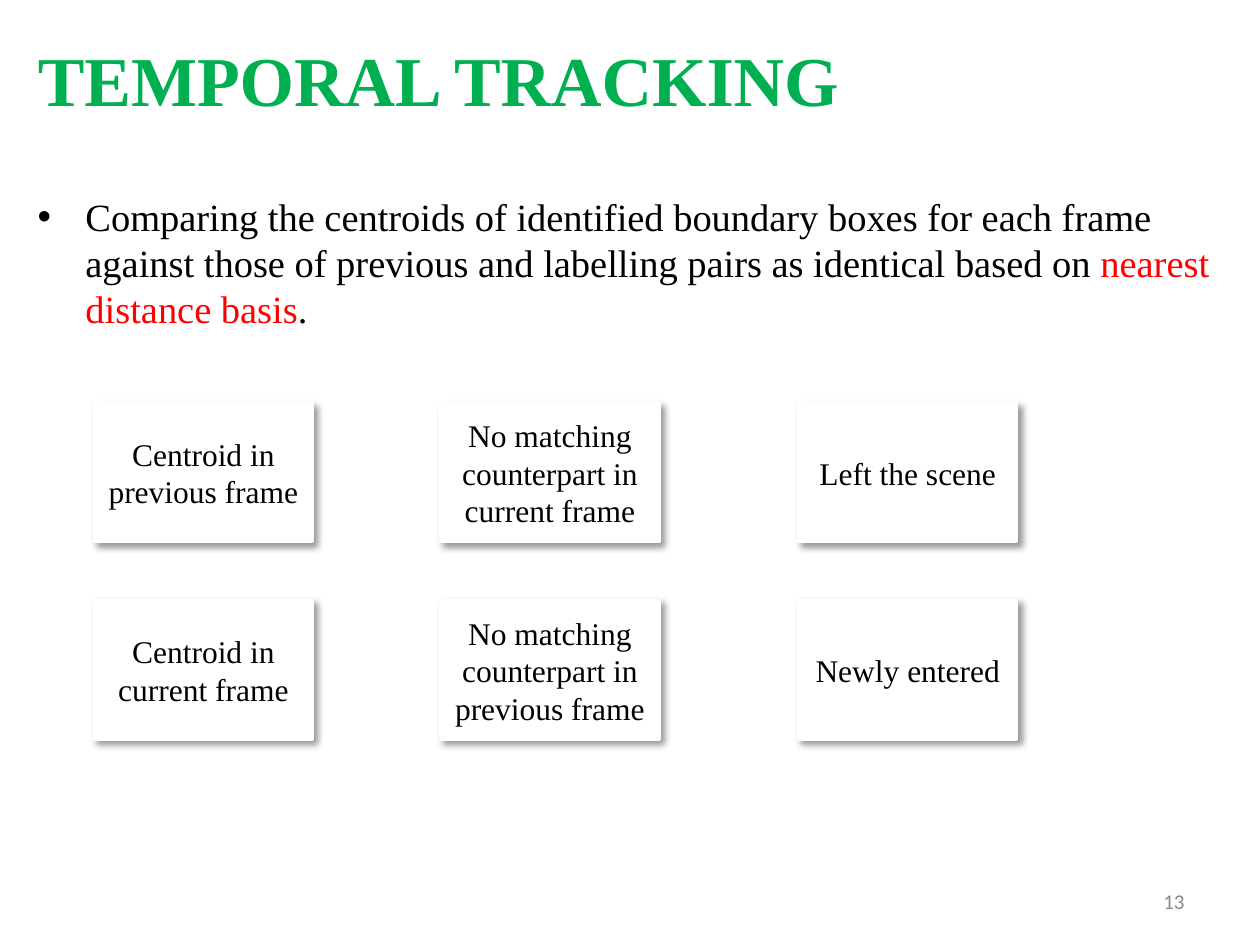
from dataclasses import dataclass

import pptx
import pptx.dml.color
import pptx.enum.shapes
import pptx.enum.text
import pptx.oxml
import pptx.oxml.ns
import pptx.util

Inches = pptx.util.Inches
Pt = pptx.util.Pt
RGBColor = pptx.dml.color.RGBColor
Align = pptx.enum.text.PP_ALIGN
Anchor = pptx.enum.text.MSO_ANCHOR

GREEN = RGBColor(0x00, 0xB0, 0x50)
RED = RGBColor(0xFF, 0x00, 0x00)
BLACK = RGBColor(0x00, 0x00, 0x00)
WHITE = RGBColor(0xFF, 0xFF, 0xFF)
GREY = RGBColor(0x89, 0x89, 0x89)
SERIF = "Times New Roman"
A_NS = pptx.oxml.ns.nsdecls("a")
SHADOW = (
    f'<a:effectLst {A_NS}><a:outerShdw blurRad="50800" dist="38100" dir="2700000" '
    'algn="tl" rotWithShape="0"><a:srgbClr val="000000"><a:alpha val="40000"/>'
    "</a:srgbClr></a:outerShdw></a:effectLst>"
)


@dataclass
class Box:
    left: float
    top: float
    width: float
    height: float

    def lengths(self) -> list:
        return [Inches(v) for v in (self.left, self.top, self.width, self.height)]


def add_run(p, text: str, *, size: float, color: RGBColor = BLACK,
            font: str = SERIF, bold: bool = False) -> None:
    r = p.add_run()
    r.text = text
    r.font.size = Pt(size)
    r.font.name = font
    r.font.bold = bold
    r.font.color.rgb = color


def set_frame(tf, anchor, align):
    """Wrap and align a text frame, returning its first paragraph."""
    tf.word_wrap = True
    tf.auto_size = pptx.enum.text.MSO_AUTO_SIZE.NONE
    tf.vertical_anchor = anchor
    p = tf.paragraphs[0]
    p.alignment = align
    return p


def add_text_box(slide, box: Box, anchor, align):
    return set_frame(slide.shapes.add_textbox(*box.lengths()).text_frame, anchor, align)


def set_bullet(p, indent: float) -> None:
    pPr = p._p.get_or_add_pPr()
    pPr.set("marL", str(Inches(indent)))
    pPr.set("indent", str(-Inches(indent)))
    pPr.append(pptx.oxml.parse_xml(f'<a:buFont {A_NS} typeface="Arial"/>'))
    pPr.append(pptx.oxml.parse_xml(f'<a:buChar {A_NS} char="•"/>'))


def add_card(slide, box: Box, text: str) -> None:
    sp = slide.shapes.add_shape(pptx.enum.shapes.MSO_SHAPE.RECTANGLE, *box.lengths())
    sp.fill.solid()
    sp.fill.fore_color.rgb = WHITE
    sp.line.color.rgb = WHITE
    sp.line.width = Pt(2)
    sp._element.spPr.append(pptx.oxml.parse_xml(SHADOW))
    add_run(set_frame(sp.text_frame, Anchor.MIDDLE, Align.CENTER), text, size=18)


def main() -> None:
    prs = pptx.Presentation()
    prs.slide_width, prs.slide_height = Inches(10), Inches(7.5)
    slide = prs.slides.add_slide(prs.slide_layouts[5])

    # Title
    title = slide.shapes.title
    title.left, title.top, title.width, title.height = Box(0.2, 0, 9.13, 1.25).lengths()
    p = set_frame(title.text_frame, Anchor.MIDDLE, Align.LEFT)
    add_run(p, "TEMPORAL TRACKING", size=40, color=GREEN, bold=True)

    # Bulleted explanation
    p = add_text_box(slide, Box(0.2, 1.48, 9.69, 4.92), Anchor.TOP, Align.LEFT)
    set_bullet(p, 0.38)
    add_run(p, "Comparing the centroids of identified boundary boxes for each frame "
               "against those of previous and labelling pairs as identical based on ", size=22)
    add_run(p, "nearest distance basis", size=22, color=RED)
    add_run(p, ".", size=22)

    # Slide number
    p = add_text_box(slide, Box(7.17, 6.95, 2.33, 0.4), Anchor.MIDDLE, Align.RIGHT)
    add_run(p, "13", size=12, color=GREY, font="Calibri")

    # Tracking cases: centroid, missing match, conclusion
    columns = (0.75, 3.5, 6.34)
    cases = {
        3.2: ("Centroid in previous frame",
              "No matching counterpart in current frame", "Left the scene"),
        4.77: ("Centroid in current frame",
               "No matching counterpart in previous frame", "Newly entered"),
    }
    for top, texts in cases.items():
        for left, text in zip(columns, texts):
            add_card(slide, Box(left, top, 1.73, 1.1), text)

    prs.save("out.pptx")


if __name__ == "__main__":
    main()
